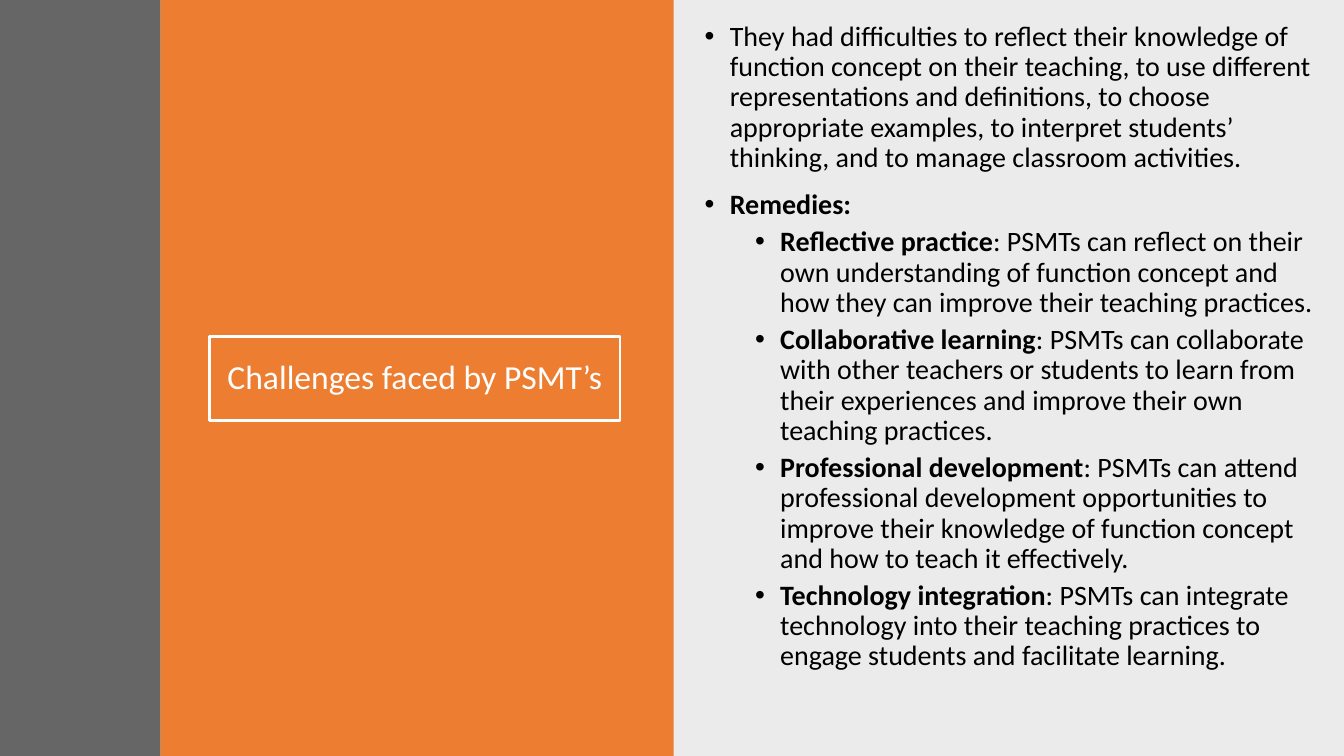
"""Build the slide on challenges faced by PSMTs and their remedies."""
from lxml import etree
from pptx import Presentation
from pptx.dml.color import RGBColor
from pptx.enum.shapes import MSO_SHAPE
from pptx.enum.text import MSO_ANCHOR, PP_ALIGN
from pptx.oxml.ns import qn
from pptx.util import Inches, Pt

RECT = MSO_SHAPE.RECTANGLE
MIDDLE = MSO_ANCHOR.MIDDLE
CENTER = PP_ALIGN.CENTER
FONT = "Calibri"
SLIDE_W, SLIDE_H = 13.33, 7.5
BODY_LEFT, BODY_W = 6.89, 6.27

CHALLENGES = (
    "They had difficulties to reflect their knowledge of function concept on "
    "their teaching, to use different representations and definitions, to "
    "choose appropriate examples, to interpret students’ thinking, and to "
    "manage classroom activities."
)
REMEDIES = [
    ("Reflective practice",
     ": PSMTs can reflect on their own understanding of function concept and "
     "how they can improve their teaching practices."),
    ("Collaborative learning",
     ": PSMTs can collaborate with other teachers or students to learn from "
     "their experiences and improve their own teaching practices."),
    ("Professional development",
     ": PSMTs can attend professional development opportunities to improve "
     "their knowledge of function concept and how to teach it effectively."),
    ("Technology integration",
     ": PSMTs can integrate technology into their teaching practices to "
     "engage students and facilitate learning."),
]


def rgb(color):
    """Return the colour for a hex string."""
    return RGBColor.from_string(color)


def style_paragraph(p, size, color):
    """Set the font and line spacing of a paragraph."""
    p.font.name = FONT
    p.font.size = Pt(size)
    p.font.color.rgb = rgb(color)
    p.line_spacing = 0.9


def add_panel(s, left, width, color, opacity=100):
    """Add a full-height colour panel with the given opacity in percent."""
    sp = s.shapes.add_shape(RECT, Inches(left), 0, Inches(width), Inches(SLIDE_H))
    sp.shadow.inherit = False
    sp.fill.solid()
    sp.fill.fore_color.rgb = rgb(color)
    sp.line.fill.background()
    if opacity < 100:
        clr = sp.fill._xPr.find(".//" + qn("a:srgbClr"))
        etree.SubElement(clr, qn("a:alpha")).set("val", str(opacity * 1000))


def add_title(s, text):
    """Add the outlined title box."""
    sp = s.shapes.add_shape(RECT, Inches(2.08), Inches(3.34), Inches(4.07), Inches(0.83))
    sp.shadow.inherit = False
    sp.fill.background()
    sp.line.color.rgb = rgb("FFFFFF")
    sp.line.width = Pt(2)
    tf = sp.text_frame
    tf.word_wrap = True
    tf.vertical_anchor = MIDDLE
    p = tf.paragraphs[0]
    p.text = text
    p.alignment = CENTER
    style_paragraph(p, 24, "FFFFFF")


def add_body(s, top, height):
    """Add a wrapping text box in the right column and return its text frame."""
    sp = s.shapes.add_textbox(Inches(BODY_LEFT), Inches(top), Inches(BODY_W), Inches(height))
    tf = sp.text_frame
    tf.word_wrap = True
    return tf


def format_bullet(p, level=0):
    """Make a paragraph a bullet on the given level."""
    style_paragraph(p, 20, "000000")
    p.level = level
    p.space_before = Pt(5 if level else 10)
    pPr = p._p.get_or_add_pPr()
    pPr.set("marL", str(Inches(0.25 + 0.5 * level)))
    pPr.set("indent", str(Inches(-0.25)))
    font = etree.Element(qn("a:buFont"), typeface="Arial")
    bullet = etree.Element(qn("a:buChar"), char="•")
    default = pPr.find(qn("a:defRPr"))
    default.addprevious(font)
    default.addprevious(bullet)


def add_remedies(tf):
    """Fill the text frame with the heading and the remedies."""
    p = tf.paragraphs[0]
    p.text = "Remedies:"
    p.font.bold = True
    format_bullet(p)
    for name, detail in REMEDIES:
        p = tf.add_paragraph()
        r = p.add_run()
        r.text = name
        r.font.bold = True
        p.add_run().text = detail
        format_bullet(p, level=1)


def main():
    """Build and save the slide."""
    prs = Presentation()
    prs.slide_width, prs.slide_height = Inches(SLIDE_W), Inches(SLIDE_H)
    s = prs.slides.add_slide(prs.slide_layouts[6])
    add_panel(s, 6.67, 6.67, "000000", opacity=8)
    add_panel(s, 1.59, 5.09, "ED7D31")
    add_title(s, "Challenges faced by PSMT’s")
    add_panel(s, 0, 1.59, "404040", opacity=80)
    p = add_body(s, 0.17, 1.51).paragraphs[0]
    p.text = CHALLENGES
    format_bullet(p)
    add_remedies(add_body(s, 1.84, 5.49))
    prs.save("out.pptx")


if __name__ == "__main__":
    main()
